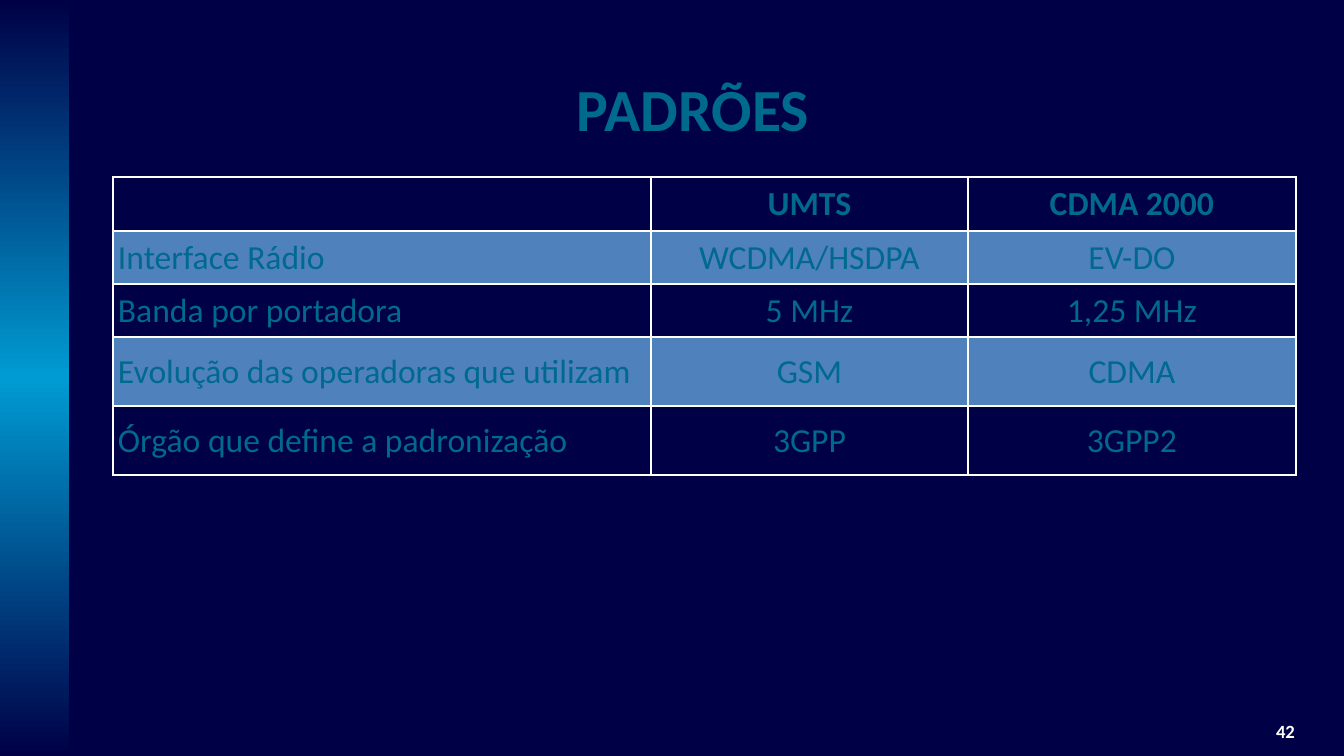
from copy import deepcopy
from dataclasses import dataclass

from pptx import Presentation, util as u
from pptx.dml.color import RGBColor
from pptx.enum import shapes, text

# Content
TITLE = "PADRÕES"
NUMBER = "42"
ROWS = [
    ("", "UMTS", "CDMA 2000"),
    ("Interface Rádio", "WCDMA/HSDPA", "EV-DO"),
    ("Banda por portadora", "5 MHz", "1,25 MHz"),
    ("Evolução das operadoras que utilizam", "GSM", "CDMA"),
    ("Órgão que define a padronização", "3GPP", "3GPP2"),
]
WIDTHS = (538, 317, 328)
HEIGHTS = (46, 44, 44, 69, 69)


@dataclass(frozen=True)
class Theme:
    font: str = "Calibri"
    navy: str = "000046"
    glow: str = "009BD2"
    teal: str = "00698E"
    band: str = "4F81BD"
    white: str = "FFFFFF"
    head: int = 32
    body: int = 18
    small: int = 10


T = Theme()
LEFT, CENTER, RIGHT = text.PP_ALIGN.LEFT, text.PP_ALIGN.CENTER, text.PP_ALIGN.RIGHT
MIDDLE = text.MSO_ANCHOR.MIDDLE


def px(n):
    return u.Emu(round(n * 9144000 / 1344))


def rgb(code):
    return RGBColor.from_string(code)


def write(frame, words, size=T.body, color=T.teal, bold=False, align=LEFT, line=None):
    frame.word_wrap = True
    para = frame.paragraphs[0]
    para.alignment = align
    para.line_spacing = line
    font = para.font
    if words:
        run = para.add_run()
        run.text = words
        font = run.font
    font.name, font.size, font.bold = T.font, u.Pt(size), bold
    font.color.rgb = rgb(color)


def label(slide, box, words, **style):
    frame = slide.shapes.add_textbox(*map(px, box)).text_frame
    frame.vertical_anchor = MIDDLE
    write(frame, words, **style)


def add_strip(slide):
    strip = slide.shapes.add_shape(shapes.MSO_SHAPE.RECTANGLE, 0, 0, px(69), px(756))
    strip.shadow.inherit = False
    strip.line.fill.background()
    strip.fill.gradient()
    strip.fill.gradient_angle = 90
    # A third stop makes the glow fade at both ends
    first = strip._element.xpath(".//a:gs")[0]
    first.addnext(deepcopy(first))
    stops = zip(strip.fill.gradient_stops, (0, 0.5, 1), (T.navy, T.glow, T.navy))
    for stop, place, color in stops:
        stop.position = place
        stop.color.rgb = rgb(color)


def add_grid(slide):
    grid = slide.shapes.add_table(
        len(ROWS), len(WIDTHS), px(113), px(177), px(sum(WIDTHS)), px(sum(HEIGHTS))
    ).table
    for col, width in zip(grid.columns, WIDTHS):
        col.width = px(width)
    for r, (row, height) in enumerate(zip(ROWS, HEIGHTS)):
        grid.rows[r].height = px(height)
        for c, words in enumerate(row):
            cell = grid.cell(r, c)
            cell.margin_left = cell.margin_right = px(5)
            cell.vertical_anchor = MIDDLE
            if r % 2:
                cell.fill.solid()
                cell.fill.fore_color.rgb = rgb(T.band)
            else:
                cell.fill.background()
            write(cell.text_frame, words, bold=r == 0,
                  align=CENTER if c else LEFT, line=0.98)


def main():
    deck = Presentation()
    deck.slide_width, deck.slide_height = px(1344), px(756)
    slide = deck.slides.add_slide(deck.slide_layouts[6])
    slide.background.fill.solid()
    slide.background.fill.fore_color.rgb = rgb(T.navy)

    add_strip(slide)
    label(slide, (79, 60, 1228, 96), TITLE, size=T.head, bold=True, align=CENTER)
    add_grid(slide)
    label(slide, (989, 711, 319, 40), NUMBER, size=T.small, color=T.white,
          bold=True, align=RIGHT)
    deck.save("out.pptx")


if __name__ == "__main__":
    main()
